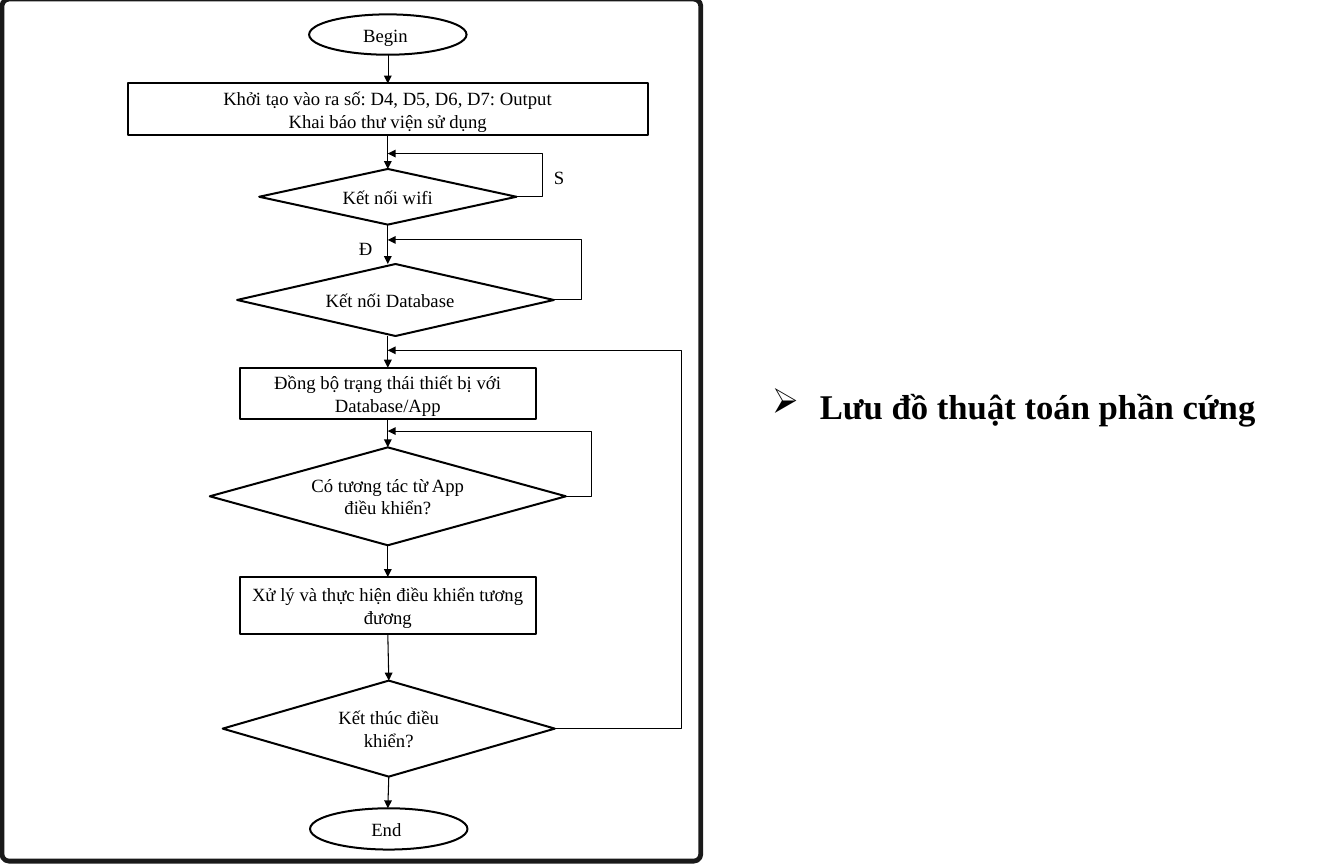
from dataclasses import dataclass
from itertools import pairwise

from lxml.etree import SubElement
from pptx import Presentation
from pptx.dml.color import RGBColor
from pptx.enum.shapes import MSO_CONNECTOR as Link, MSO_SHAPE as Kind
from pptx.enum.text import MSO_ANCHOR as Anchor, MSO_AUTO_SIZE as AutoSize, PP_ALIGN as Align
from pptx.oxml.ns import qn
from pptx.util import Inches, Pt


@dataclass(frozen=True)
class Theme:
    font: str = "Times New Roman"
    ink: RGBColor = RGBColor(0, 0, 0)
    paper: RGBColor = RGBColor(255, 255, 255)
    frame: RGBColor = RGBColor(0x19, 0x19, 0x19)
    body_size: int = 14
    title_size: int = 26
    outline: float = 1.5
    arrow: float = 0.79
    hairline: float = 0.25
    frame_line: float = 3.6


@dataclass(frozen=True)
class Box:
    """Left, top, width and height in grid units of one inch."""
    left: float
    top: float
    width: float
    height: float

    def inner(self, left, top, width, height):
        return Box(self.left + left, self.top + top, width, height)

    def lengths(self):
        return [Inches(n) for n in (self.left, self.top, self.width, self.height)]


THEME = Theme()
COLUMNS, ROWS = 14, 9
AXIS = 4.04  # column the flow runs down

# Kind, centre column, top row, width, height, alignment, lines of text
STEPS = [
    (Kind.OVAL, 4.04, 0.15, 1.64, 0.42, Align.CENTER, ["Begin "]),
    (Kind.RECTANGLE, 4.04, 0.87, 5.42, 0.54, Align.CENTER,
     ["Khởi tạo vào ra số: D4, D5, D6, D7: Output", "Khai báo thư viện sử dụng"]),
    (Kind.DIAMOND, 4.04, 1.76, 2.68, 0.58, Align.CENTER, ["Kết nối wifi"]),
    (Kind.DIAMOND, 4.12, 2.75, 3.3, 0.75, Align.JUSTIFY, ["Kết nối Database"]),
    (Kind.RECTANGLE, 4.04, 3.83, 3.09, 0.54, Align.CENTER,
     ["Đồng bộ trạng thái thiết bị với Database/App"]),
    (Kind.DIAMOND, 4.04, 4.66, 3.71, 1.02, Align.CENTER, ["Có tương tác từ App điều khiển?"]),
    (Kind.RECTANGLE, 4.04, 6.01, 3.09, 0.6, Align.CENTER,
     ["Xử lý và thực hiện điều khiển tương đương"]),
    (Kind.DIAMOND, 4.05, 7.09, 3.46, 1, Align.CENTER, ["Kết thúc điều khiển?"]),
    (Kind.OVAL, 4.05, 8.42, 1.64, 0.43, Align.CENTER, ["End "]),
]
# Step looped from, column reached on the right, row of return
LOOPS = [(2, 5.65, 1.6), (3, 6.06, 2.5), (5, 6.16, 4.49), (7, 7.1, 3.65)]
BRANCH_LABELS = [("S", 5.67, 1.68), ("Đ", 3.64, 2.42)]


def set_font(para, size, bold=False):
    para.font.name = THEME.font
    para.font.size = Pt(size)
    para.font.bold = bold
    para.font.color.rgb = THEME.ink


def write(text_frame, lines, align):
    text_frame.text = "\n".join(lines)
    for para in text_frame.paragraphs:
        para.alignment = align
        set_font(para, THEME.body_size)


def add_step(slide, box, kind, lines, align):
    step = slide.shapes.add_shape(kind, *box.lengths())
    step.shadow.inherit = False
    step.fill.solid()
    step.fill.fore_color.rgb = THEME.paper
    step.line.color.rgb = THEME.ink
    step.line.width = Pt(THEME.outline)
    step.text_frame.word_wrap = True
    step.text_frame.vertical_anchor = Anchor.MIDDLE
    write(step.text_frame, lines, align)
    return step


def add_arrow(slide, link, start, end, width):
    arrow = slide.shapes.add_connector(link, *start, *end)
    arrow.line.color.rgb = THEME.ink
    arrow.line.width = Pt(width)
    SubElement(arrow.line._get_or_add_ln(), qn("a:tailEnd"), type="triangle")
    SubElement(arrow._element.spPr, qn("a:effectLst"))
    return arrow


def add_down_arrow(slide, upper, lower, axis, width):
    arrow = add_arrow(slide, Link.STRAIGHT, (axis, upper.top + upper.height), (axis, lower.top), width)

    def joins(step):
        off_axis = abs(step.left + step.width // 2 - axis)
        return step.auto_shape_type != Kind.OVAL and off_axis < Inches(0.02)

    if joins(upper):
        arrow.begin_connect(upper, 2)
    if joins(lower):
        arrow.end_connect(lower, 0)


def add_loop(slide, step, axis, reach, row):
    right = step.left + step.width
    loop = add_arrow(slide, Link.ELBOW, (right, step.top + step.height // 2), (axis, row), THEME.arrow)
    # The bend lies beyond the start, so its share of the width is negative
    bend = round(-100000 * (reach - right) / (right - axis))
    guides = loop._element.spPr.find(qn("a:prstGeom")).get_or_add_avLst()
    SubElement(guides, qn("a:gd"), name="adj1", fmla=f"val {bend}")


def add_frame(slide, box):
    frame = slide.shapes.add_shape(Kind.ROUNDED_RECTANGLE, *box.lengths())
    frame.shadow.inherit = False
    frame.adjustments[0] = 0.01
    frame.fill.background()
    frame.line.color.rgb = THEME.frame
    frame.line.width = Pt(THEME.frame_line)


def add_flowchart(slide, box):
    add_frame(slide, box.inner(0.02, -0.01, box.width - 0.04, box.height - 0.02))

    # Steps
    steps = []
    for kind, centre, top, width, height, align, lines in STEPS:
        place = box.inner(centre - width / 2, top, width, height)
        steps.append(add_step(slide, place, kind, lines, align))

    # Arrows from step to step, the first one thinner
    axis = Inches(box.left + AXIS)
    for number, (upper, lower) in enumerate(pairwise(steps)):
        add_down_arrow(slide, upper, lower, axis, THEME.arrow if number else THEME.hairline)

    # Loops back to the axis
    for number, reach, row in LOOPS:
        add_loop(slide, steps[number], axis, Inches(box.left + reach), Inches(box.top + row))

    # Branch labels
    for text, left, top in BRANCH_LABELS:
        label = slide.shapes.add_textbox(*box.inner(left, top, 0.52, 0.36).lengths())
        label.text_frame.word_wrap = True
        write(label.text_frame, [text], Align.LEFT)


def add_heading(slide, box):
    title = slide.shapes.title
    title.left, title.top, title.width, title.height = box.lengths()
    frame = title.text_frame
    frame.text = "Lưu đồ thuật toán phần cứng"
    frame.word_wrap = False
    frame.auto_size = AutoSize.SHAPE_TO_FIT_TEXT
    frame.vertical_anchor = Anchor.TOP
    para = frame.paragraphs[0]
    para.alignment = Align.LEFT
    # Arrow bullet with a hanging indent
    properties = para._p.get_or_add_pPr()
    properties.set("marL", str(Inches(0.5)))
    properties.set("indent", str(-Inches(0.5)))
    SubElement(properties, qn("a:buChar"), char="➢")
    set_font(para, THEME.title_size, bold=True)


def main():
    deck = Presentation()
    deck.slide_width, deck.slide_height = Inches(COLUMNS), Inches(ROWS)
    slide = deck.slides.add_slide(deck.slide_layouts.get_by_name("Title Only"))
    add_flowchart(slide, Box(0, 0, 7.32, ROWS))
    add_heading(slide, Box(7.94, 3.96, 5.29, 0.54))
    deck.save("out.pptx")


if __name__ == "__main__":
    main()
